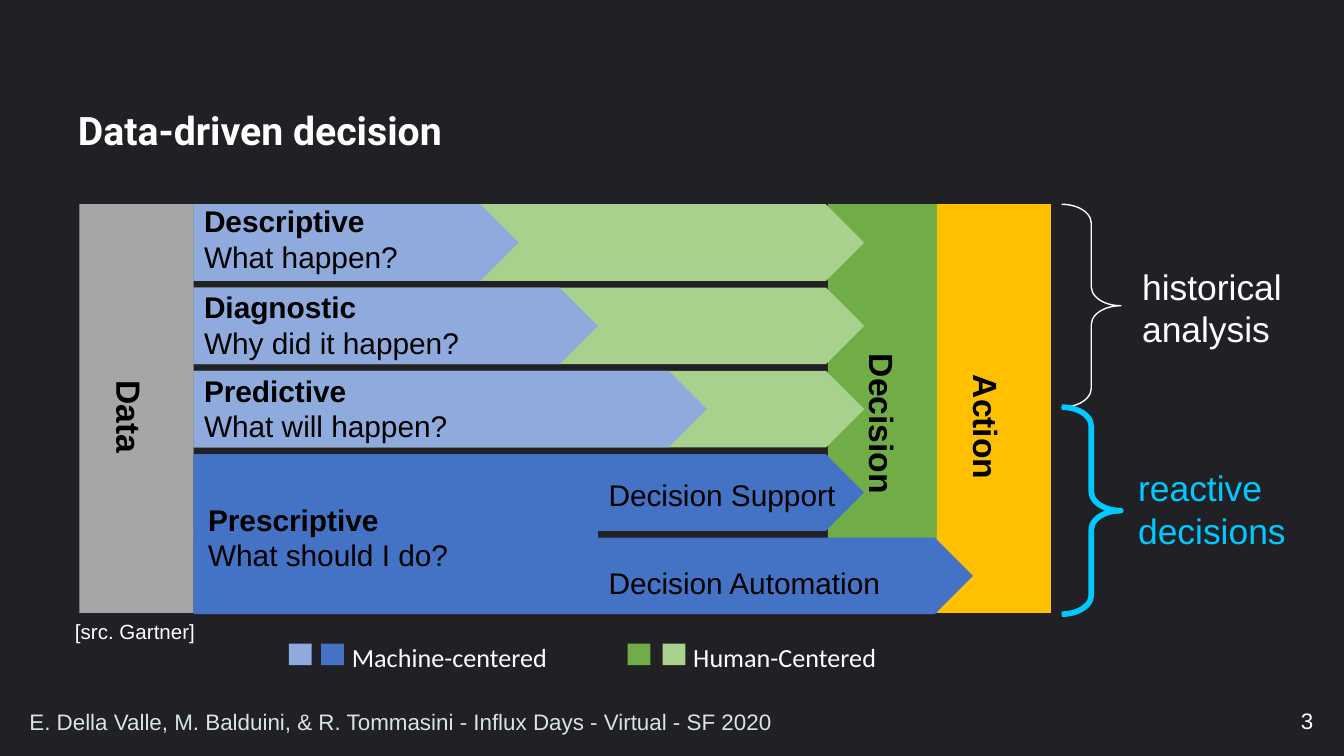
from pptx import Presentation
from pptx.dml.color import RGBColor
from pptx.enum import shapes, text
from pptx.util import Inches, Pt

BACKDROP = RGBColor(0x20, 0x20, 0x25)
WHITE = RGBColor(0xFF, 0xFF, 0xFF)
BLACK = RGBColor(0x00, 0x00, 0x00)
GREY = RGBColor(0xA6, 0xA6, 0xA6)
GOLD = RGBColor(0xFF, 0xC0, 0x00)
GREEN = RGBColor(0x70, 0xAD, 0x47)
LIGHT_GREEN = RGBColor(0xA9, 0xD1, 0x8E)
BLUE = RGBColor(0x44, 0x72, 0xC4)
LIGHT_BLUE = RGBColor(0x8F, 0xAA, 0xDC)
CYAN = RGBColor(0x00, 0xC9, 0xFF)
PALE = RGBColor(0xD7, 0xE5, 0xE6)

RECT = shapes.MSO_SHAPE.RECTANGLE
ARROW = shapes.MSO_SHAPE.PENTAGON
BRACE = shapes.MSO_SHAPE.RIGHT_BRACE

TOP, HEIGHT = 1.52, 3.04
ROW_LEFT, ROW_HEIGHT, ROW_PITCH = 1.44, 0.57, 0.62


class Deck:
    def __init__(self):
        self.prs = Presentation()
        self.prs.slide_width = Inches(10)
        self.prs.slide_height = Inches(10) * 9 // 16
        self.s = self.prs.slides.add_slide(self.prs.slide_layouts[6])
        fill = self.s.background.fill
        fill.solid()
        fill.fore_color.rgb = BACKDROP

    def shape(self, kind, x, y, w, h):
        sp = self.s.shapes.add_shape(kind, Inches(x), Inches(y), Inches(w), Inches(h))
        sp.shadow.inherit = False
        return sp

    def block(self, kind, x, y, w, h, color):
        sp = self.shape(kind, x, y, w, h)
        sp.fill.solid()
        sp.fill.fore_color.rgb = color
        sp.line.fill.background()

    def brace(self, y, h, color, weight):
        sp = self.shape(BRACE, 7.9, y, 0.44, h)
        sp.adjustments[0], sp.adjustments[1] = 0.319, 0.5
        sp.fill.background()
        sp.line.color.rgb = color
        sp.line.width = Pt(weight)

    def label(self, x, y, w, h, lines, size, color=BLACK, font="Arial",
              bold=False, wrap=False, middle=False, rotation=0):
        """Write one paragraph per line; bold affects only the first line."""
        sp = self.s.shapes.add_textbox(Inches(x), Inches(y), Inches(w), Inches(h))
        sp.rotation = rotation
        tf = sp.text_frame
        tf.word_wrap = wrap
        if not wrap:
            tf.margin_right = 0
        if middle:
            tf.vertical_anchor = text.MSO_ANCHOR.MIDDLE
        for i, line in enumerate(lines):
            p = tf.add_paragraph() if i else tf.paragraphs[0]
            r = p.add_run()
            r.text = line
            r.font.size, r.font.name = Pt(size), font
            r.font.bold = bold and i == 0
            r.font.color.rgb = color
        return tf


def add_title(deck):
    tf = deck.label(0.51, 0.67, 8.98, 0.64, ["Data-driven decision"], 21, WHITE,
                    "Roboto", bold=True, wrap=True, middle=True)
    tf.margin_left = tf.margin_right = Inches(0.07)
    tf.margin_top = tf.margin_bottom = Inches(0.04)
    tf.paragraphs[0].line_spacing = 0.9


def add_diagram(deck):
    for x, color in ((6.16, GREEN), (0.59, GREY), (6.97, GOLD)):
        deck.block(RECT, x, TOP, 0.85, HEIGHT, color)

    rows = [TOP + i * ROW_PITCH for i in range(5)]
    human, machine = (4.99, LIGHT_GREEN), (4.99, BLUE)
    for y, (w, color) in zip(rows, [human] * 3 + [machine, (5.8, BLUE)]):
        deck.block(ARROW, ROW_LEFT, y, w, ROW_HEIGHT, color)
    for y, w in zip(rows, (2.42, 3.01, 3.82)):
        deck.block(ARROW, ROW_LEFT, y, w, ROW_HEIGHT, LIGHT_BLUE)
    deck.block(RECT, ROW_LEFT, 3.39, 3.01, 1.16, BLUE)

    for x, y, w, name in ((0.65, 2.92, 0.7, "Data"), (6.02, 2.95, 1.16, "Decision"),
                          (6.92, 2.98, 0.91, "Action")):
        deck.label(x, y, w, 0.33, [name], 18, bold=True, rotation=90)

    for x, y, w, h, name, question in (
            (1.42, 1.46, 1.6, 0.57, "Descriptive", "What happen?"),
            (1.42, 2.1, 2.1, 0.54, "Diagnostic", "Why did it happen?"),
            (1.42, 2.72, 2.0, 0.51, "Predictive", "What will happen?"),
            (1.45, 3.68, 2.0, 0.59, "Prescriptive", "What should I do?")):
        deck.label(x, y, w, h, [name, question], 16, bold=True)
    deck.label(4.43, 3.5, 1.9, 0.35, ["Decision Support"], 16)
    deck.label(4.43, 4.15, 2.25, 0.35, ["Decision Automation"], 16)


def add_braces(deck):
    deck.brace(TOP, 1.51, WHITE, 0.75)
    deck.brace(3.03, 1.54, CYAN, 3)
    deck.label(8.4, 1.92, 1.33, 0.74, ["historical", "analysis"], 19, WHITE)
    deck.label(8.37, 3.42, 1.59, 0.74, ["reactive decisions"], 19, CYAN, wrap=True)


def add_legend(deck):
    for x, color in ((2.15, LIGHT_BLUE), (2.39, BLUE), (4.67, GREEN), (4.93, LIGHT_GREEN)):
        deck.block(RECT, x, 4.79, 0.17, 0.16, color)
    for x, w, name in ((2.52, 1.7, "Machine-centered"), (5.06, 3.27, "Human-Centered")):
        deck.label(x, 4.72, w, 0.35, [name], 14, WHITE, "Calibri")


def add_footer(deck):
    deck.label(0.46, 4.56, 1.1, 0.29, ["[src. Gartner]"], 11, WHITE)
    deck.label(0.12, 5.22, 7.45, 0.29,
               ["E. Della Valle, M. Balduini, & R. Tommasini - Influx Days - Virtual - SF 2020"],
               12, PALE, wrap=True, middle=True)
    tf = deck.label(7.62, 5.21, 2.25, 0.3, ["3"], 12, WHITE, wrap=True, middle=True)
    tf.paragraphs[0].alignment = text.PP_ALIGN.RIGHT


def main():
    deck = Deck()
    add_title(deck)
    add_diagram(deck)
    add_braces(deck)
    add_legend(deck)
    add_footer(deck)
    deck.prs.save("out.pptx")


if __name__ == "__main__":
    main()
